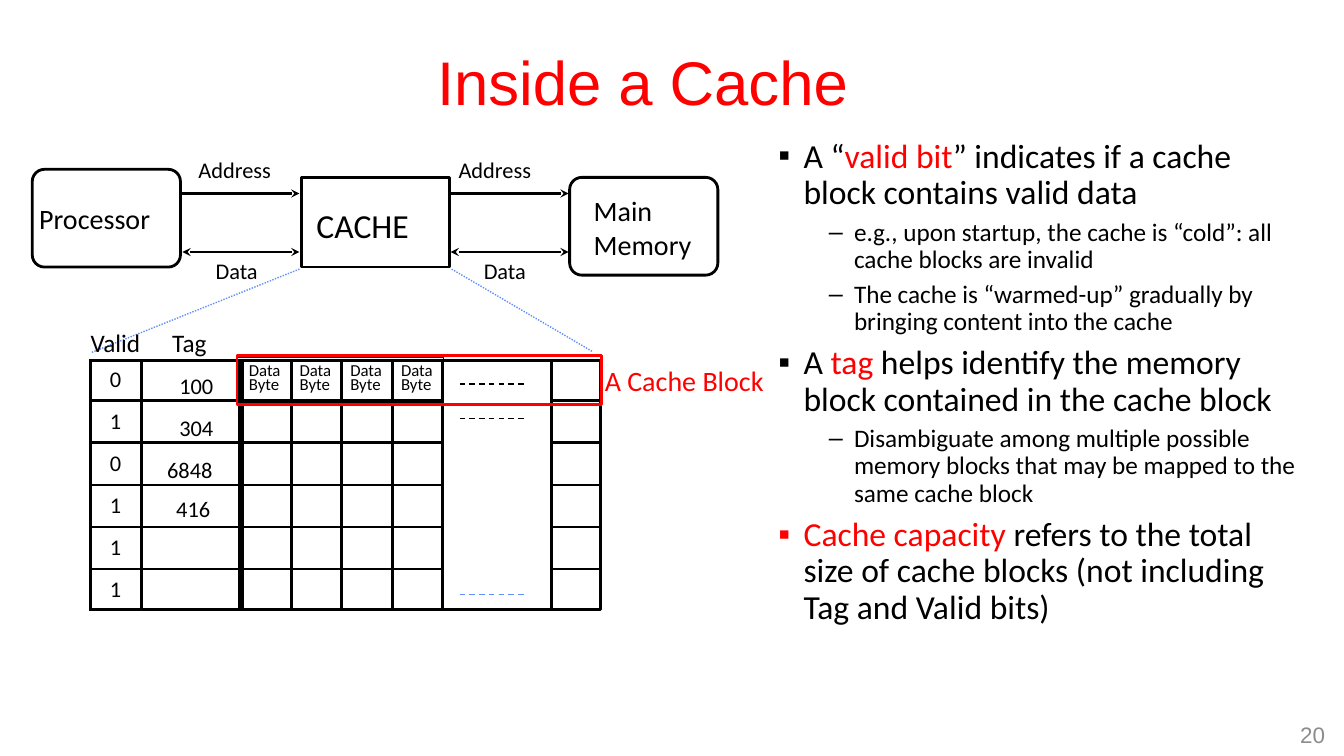
from lxml.etree import SubElement
from pptx import Presentation
from pptx.dml.color import RGBColor
from pptx.enum.dml import MSO_LINE
from pptx.enum.shapes import MSO_CONNECTOR, MSO_SHAPE
from pptx.enum.text import MSO_ANCHOR, MSO_AUTO_SIZE, PP_ALIGN
from pptx.oxml.ns import qn
from pptx.util import Inches, Pt

COLORS = {
    "black": "000000",
    "white": "FFFFFF",
    "red": "FF0000",
    "blue": "618FFD",
    "gray": "8C8C8C",
}


class SlideBuilder:
    font = "Calibri"

    def __init__(self, presentation):
        self.slide = presentation.slides.add_slide(presentation.slide_layouts[1])

    def color(self, name):
        return RGBColor.from_string(COLORS[name])

    def place(self, shape, left, top, width, height):
        shape.left, shape.top = Inches(left), Inches(top)
        shape.width, shape.height = Inches(width), Inches(height)

    def run(self, paragraph, text, size, color="black", font=None):
        run = paragraph.add_run()
        run.text = text
        run.font.size = Pt(size)
        run.font.name = font or self.font
        run.font.color.rgb = self.color(color)

    def title(self, text, box):
        shape = self.slide.shapes.title
        self.place(shape, *box)
        frame = shape.text_frame
        frame.auto_size = MSO_AUTO_SIZE.NONE
        frame.vertical_anchor = MSO_ANCHOR.MIDDLE
        paragraph = frame.paragraphs[0]
        paragraph.alignment = PP_ALIGN.CENTER
        paragraph.line_spacing = 0.9
        self.run(paragraph, text, 44, "red", "Arial")

    def bullets(self, items, box):
        shape = self.slide.placeholders[1]
        self.place(shape, *box)
        frame = shape.text_frame
        frame.auto_size = MSO_AUTO_SIZE.NONE
        for index, (level, runs) in enumerate(items):
            paragraph = frame.paragraphs[0] if index == 0 else frame.add_paragraph()
            size, symbol, margin = ((24, "▪", 0.25), (18, "–", 0.75))[level]
            paragraph.level = level
            paragraph.line_spacing = 0.9
            paragraph.space_before = Pt(size * 0.3 if index else 0)
            properties = paragraph._p.get_or_add_pPr()
            properties.set("marL", str(Inches(margin)))
            properties.set("indent", str(Inches(-0.25)))
            SubElement(properties, qn("a:buChar"), char=symbol)
            for text, color in runs:
                self.run(paragraph, text, size, color)

    def label(self, lines, box, size, color="black", spacing=None):
        shape = self.slide.shapes.add_textbox(*map(Inches, box))
        frame = shape.text_frame
        frame.word_wrap = False
        frame.auto_size = MSO_AUTO_SIZE.SHAPE_TO_FIT_TEXT
        for index, text in enumerate(lines):
            paragraph = frame.paragraphs[0] if index == 0 else frame.add_paragraph()
            paragraph.line_spacing = spacing
            self.run(paragraph, text, size, color)

    def page_number(self, text, box):
        shape = self.slide.shapes.add_textbox(*map(Inches, box))
        frame = shape.text_frame
        frame.word_wrap = True
        frame.vertical_anchor = MSO_ANCHOR.MIDDLE
        paragraph = frame.paragraphs[0]
        paragraph.alignment = PP_ALIGN.RIGHT
        self.run(paragraph, text, 16, "gray", "Arial")

    def box(self, box, line="black", width=2, fill=None, rounded=False):
        kind = MSO_SHAPE.ROUNDED_RECTANGLE if rounded else MSO_SHAPE.RECTANGLE
        shape = self.slide.shapes.add_shape(kind, *map(Inches, box))
        shape.shadow.inherit = False
        if rounded:
            shape.adjustments[0] = 0.125
        if fill:
            shape.fill.solid()
            shape.fill.fore_color.rgb = self.color(fill)
        else:
            shape.fill.background()
        shape.line.color.rgb = self.color(line)
        shape.line.width = Pt(width)

    def line(self, start, end, color="black", width=2, dash=None, arrows=()):
        connector = self.slide.shapes.add_connector(
            MSO_CONNECTOR.STRAIGHT, *map(Inches, (*start, *end)))
        connector.line.color.rgb = self.color(color)
        connector.line.width = Pt(width)
        if dash:
            connector.line.dash_style = dash
        properties = connector.element.spPr
        for arrow in arrows:
            SubElement(properties.find(qn("a:ln")), qn(f"a:{arrow}"), type="stealth")
        SubElement(properties, qn("a:effectLst"))


def draw_cache_table(builder):
    top, bottom, row_height = 3.56, 6.06, 0.417
    builder.box((1.4, 3.58, 4.56, 2.47))
    for row in range(1, 6):
        y = top + row * row_height
        for left, right in ((0.9, 1.4), (1.39, 4.39), (5.47, 5.97)):
            builder.line((left, y), (right, y))
    for y in (3.58, 6.05):
        builder.line((0.9, y), (1.4, y))
    for x in (0.9, 2.39, 2.89, 3.39, 3.89, 4.39, 5.47):
        builder.line((x, top), (x, bottom), width=4 if x == 2.39 else 2)
    for y, color in ((3.81, "black"), (4.15, "black"), (5.9, "blue")):
        builder.line((4.56, y), (5.22, y), color, 1, MSO_LINE.DASH)
    for start, end in (((2.97, 2.67), (0.9, 3.5)), ((4.48, 2.67), (5.88, 3.49))):
        builder.line(start, end, "blue", 1, MSO_LINE.ROUND_DOT)

    builder.box((2.35, 3.55, 2.05, 0.44), width=0.75)
    builder.box((2.35, 3.53, 3.62, 0.48), "red")
    for column in range(4):
        builder.label(("Data", "Byte"), (2.37 + column * 0.503, 3.57, 0.53, 0.39),
                      12, spacing=0.7)
    builder.label(("A Cache Block",), (5.9, 3.56, 1.8, 0.44), 20, "red")
    builder.label(("Tag",), (1.61, 3.2, 0.55, 0.4), 18)
    builder.label(("Valid",), (0.8, 3.2, 0.7, 0.4), 18)
    for row, valid in enumerate("010111"):
        builder.label((valid,), (0.99, 3.57 + row * row_height, 0.32, 0.37), 16)
    for tag, left, y, width in (("100", 1.68, 3.64, 0.54), ("304", 1.68, 4.06, 0.54),
                                ("6848", 1.56, 4.48, 0.66), ("416", 1.65, 4.86, 0.54)):
        builder.label((tag,), (left, y, width, 0.37), 16)


def draw_memory_path(builder):
    builder.box((5.65, 1.76, 1.47, 0.97), fill="white", rounded=True)
    builder.box((0.32, 1.68, 1.47, 0.97), fill="white", rounded=True)
    builder.box((2.99, 1.76, 1.47, 0.89), fill="white")
    builder.label(("CACHE",), (3.04, 1.98, 1.13, 0.51), 24)
    builder.label(("Processor",), (0.29, 1.95, 1.38, 0.44), 20)
    builder.label(("Main", "Memory"), (5.79, 1.87, 1.24, 0.77), 20)
    for left, right, address_left, data_left in ((1.81, 2.97, 1.87, 2.04),
                                                 (4.47, 5.64, 4.45, 4.7)):
        builder.line((left, 1.92), (right, 1.92), arrows=("tailEnd",))
        builder.line((left, 2.5), (right, 2.5), arrows=("headEnd", "tailEnd"))
        builder.label(("Address",), (address_left, 1.5, 0.93, 0.37), 16)
        builder.label(("Data",), (data_left, 2.5, 0.63, 0.37), 16)


def main():
    presentation = Presentation()
    presentation.slide_width, presentation.slide_height = Inches(13.33), Inches(7.5)
    builder = SlideBuilder(presentation)
    builder.title("Inside a Cache", (1.06, 0.44, 10.63, 0.81))
    draw_cache_table(builder)
    builder.bullets((
        (0, (("A “", "black"), ("valid bit", "red"),
             ("” indicates if a cache block contains valid data", "black"))),
        (1, (("e.g., upon startup, the cache is “cold”: all cache blocks are invalid",
              "black"),)),
        (1, (("The cache is “warmed-up” gradually by bringing content into the cache",
              "black"),)),
        (0, (("A ", "black"), ("tag ", "red"),
             ("helps identify the memory block contained in the cache block", "black"))),
        (1, (("Disambiguate among multiple possible memory blocks that may be mapped "
              "to the same cache block", "black"),)),
        (0, (("Cache capacity", "red"),
             (" refers to the total size of cache blocks (not including Tag and Valid bits)",
              "black"))),
    ), (7.62, 1.33, 5.46, 5.37))
    draw_memory_path(builder)
    builder.page_number("20", (12.57, 7.08, 0.67, 0.42))
    presentation.save("out.pptx")


if __name__ == "__main__":
    main()
